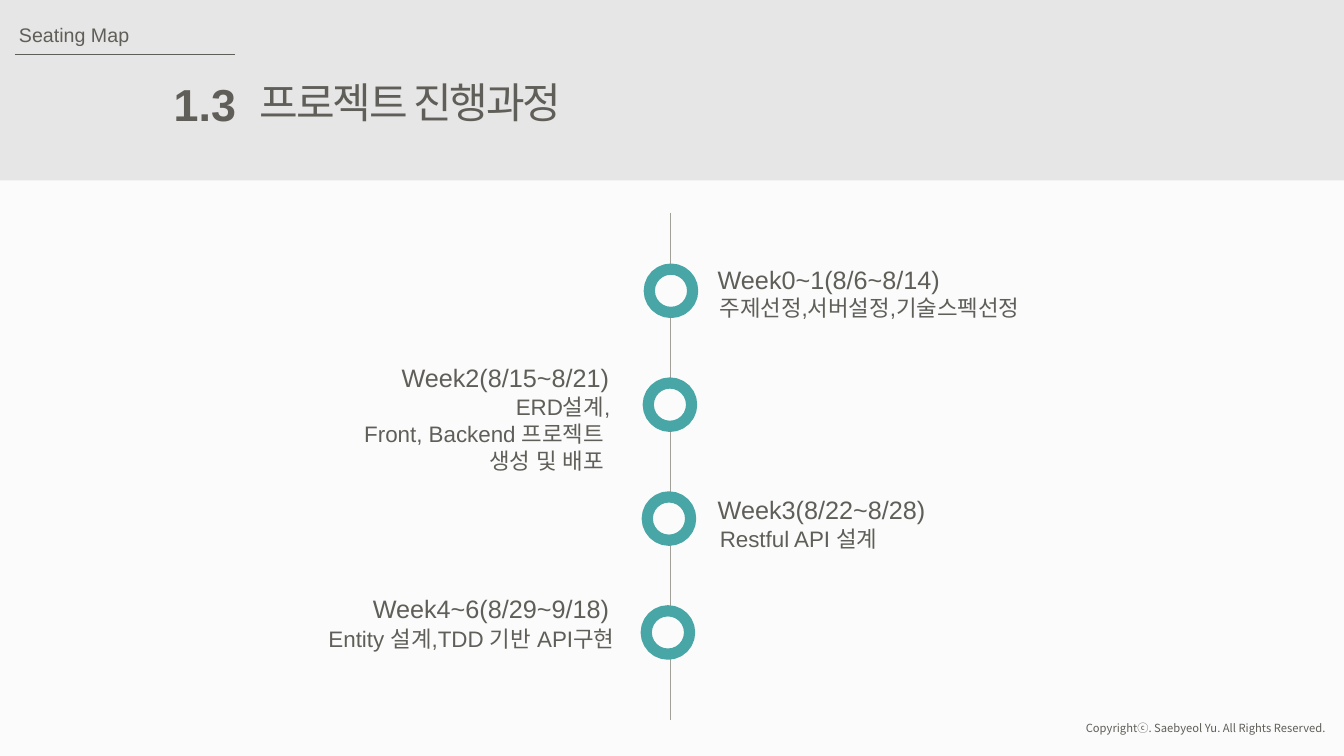
"""Builds the project timeline slide with four weekly milestones."""
from dataclasses import dataclass

import lxml.etree
import pptx
import pptx.dml.color
import pptx.enum.shapes
import pptx.enum.text
import pptx.oxml.ns
import pptx.util

Inches = pptx.util.Inches
ALIGN = pptx.enum.text.PP_ALIGN
SHAPES = pptx.enum.shapes.MSO_SHAPE
INK, TEAL, PAPER = "5F5E58", "49A6A6", "FBFBFB"
LATIN, KOREAN = "Arial", "Noto Sans CJK KR"


@dataclass(frozen=True)
class Label:
    left: float
    top: float
    width: float
    height: float
    lines: tuple[str, ...]
    size: int
    align: ALIGN = ALIGN.LEFT
    font: str = LATIN
    bold: bool = False
    spacing: float = 0
    wrap: bool = False


@dataclass(frozen=True)
class Rule:
    start: tuple[float, float]
    end: tuple[float, float]
    color: str


def rgb(color: str) -> pptx.dml.color.RGBColor:
    return pptx.dml.color.RGBColor.from_string(color)


def add_label(slide, label: Label) -> None:
    box = slide.shapes.add_textbox(
        Inches(label.left), Inches(label.top), Inches(label.width), Inches(label.height))
    frame = box.text_frame
    frame.word_wrap = label.wrap
    frame.auto_size = pptx.enum.text.MSO_AUTO_SIZE.SHAPE_TO_FIT_TEXT
    frame.text = "\n".join(label.lines)
    for paragraph in frame.paragraphs:
        paragraph.alignment = label.align
        paragraph.font.name = label.font
        paragraph.font.size = pptx.util.Pt(label.size)
        paragraph.font.bold = label.bold
        paragraph.font.color.rgb = rgb(INK)
        for run in paragraph.runs:
            properties = run._r.get_or_add_rPr()
            east_asian = lxml.etree.SubElement(properties, pptx.oxml.ns.qn("a:ea"))
            east_asian.set("typeface", label.font)
            if label.spacing:
                properties.set("spc", str(int(label.spacing * 100)))


def add_rule(slide, rule: Rule) -> None:
    connector = slide.shapes.add_connector(
        pptx.enum.shapes.MSO_CONNECTOR.STRAIGHT,
        *(Inches(value) for value in rule.start + rule.end))
    connector.line.color.rgb = rgb(rule.color)
    connector.line.width = pptx.util.Pt(0.5)
    lxml.etree.SubElement(connector._element.spPr, pptx.oxml.ns.qn("a:effectLst"))


def add_filled(slide, kind: SHAPES, left: float, top: float, width: float,
               height: float, fill: str, outline: str = "") -> None:
    shape = slide.shapes.add_shape(
        kind, Inches(left), Inches(top), Inches(width), Inches(height))
    shape.shadow.inherit = False
    shape.fill.solid()
    shape.fill.fore_color.rgb = rgb(fill)
    if outline:
        shape.line.color.rgb = rgb(outline)
        shape.line.width = pptx.util.Pt(8)
    else:
        shape.line.fill.background()


HEADINGS = (
    Label(10.62, 7.11, 2.63, 0.24, ("Copyrightⓒ. Saebyeol Yu. All Rights Reserved.",),
          8, ALIGN.RIGHT, KOREAN),
    Label(1.62, 0.71, 0.82, 0.64, ("1.3",), 32, ALIGN.RIGHT, bold=True),
    Label(2.48, 0.71, 3.52, 0.61, ("프로젝트 진행과정",), 30, font=KOREAN, spacing=-1.5),
    Label(0.09, 0.18, 1.3, 0.34, ("Seating Map",), 14, ALIGN.JUSTIFY),
)
MILESTONES = (
    Label(7.02, 2.57, 2.43, 0.4, ("Week0~1(8/6~8/14)",), 18),
    Label(7.04, 2.87, 3.47, 0.37, ("주제선정,서버설정,기술스펙선정",), 16, wrap=True),
    Label(3.86, 3.55, 2.28, 0.4, ("Week2(8/15~8/21)",), 18, ALIGN.RIGHT),
    Label(3.4, 3.85, 2.75, 0.91, ("ERD설계,", "Front, Backend 프로젝트 ", "생성 및 배포 "),
          16, ALIGN.RIGHT, wrap=True),
    Label(7.02, 4.86, 2.28, 0.4, ("Week3(8/22~8/28)",), 18),
    Label(7.04, 5.16, 1.82, 0.37, ("Restful API 설계",), 16, wrap=True),
    Label(3.57, 5.84, 2.57, 0.4, ("Week4~6(8/29~9/18)",), 18, ALIGN.RIGHT),
    Label(3.02, 6.15, 3.17, 0.37, ("Entity 설계,TDD 기반 API구현",), 16, ALIGN.RIGHT,
          wrap=True),
)
HEADER_RULE = Rule((0.15, 0.54), (2.33, 0.54), INK)
TIMELINE = Rule((6.65, 2.11), (6.65, 7.14), "A1A099")
RING_COUNT, RING_SIZE = 4, 0.43


def main() -> None:
    deck = pptx.Presentation()
    deck.slide_width, deck.slide_height = Inches(13.33), Inches(7.5)
    slide = deck.slides.add_slide(deck.slide_layouts[6])
    slide.background.fill.solid()
    slide.background.fill.fore_color.rgb = rgb(PAPER)
    add_filled(slide, SHAPES.RECTANGLE, 0, 0, 13.33, 1.79, "E7E6E6")
    for rule in (HEADER_RULE, TIMELINE):
        add_rule(slide, rule)
    for week in range(RING_COUNT):
        add_filled(slide, SHAPES.OVAL, 6.44 - 0.01 * week, 2.67 + 1.13 * week,
                   RING_SIZE, RING_SIZE, PAPER, TEAL)
    for label in HEADINGS + MILESTONES:
        add_label(slide, label)
    deck.save("out.pptx")


if __name__ == "__main__":
    main()
